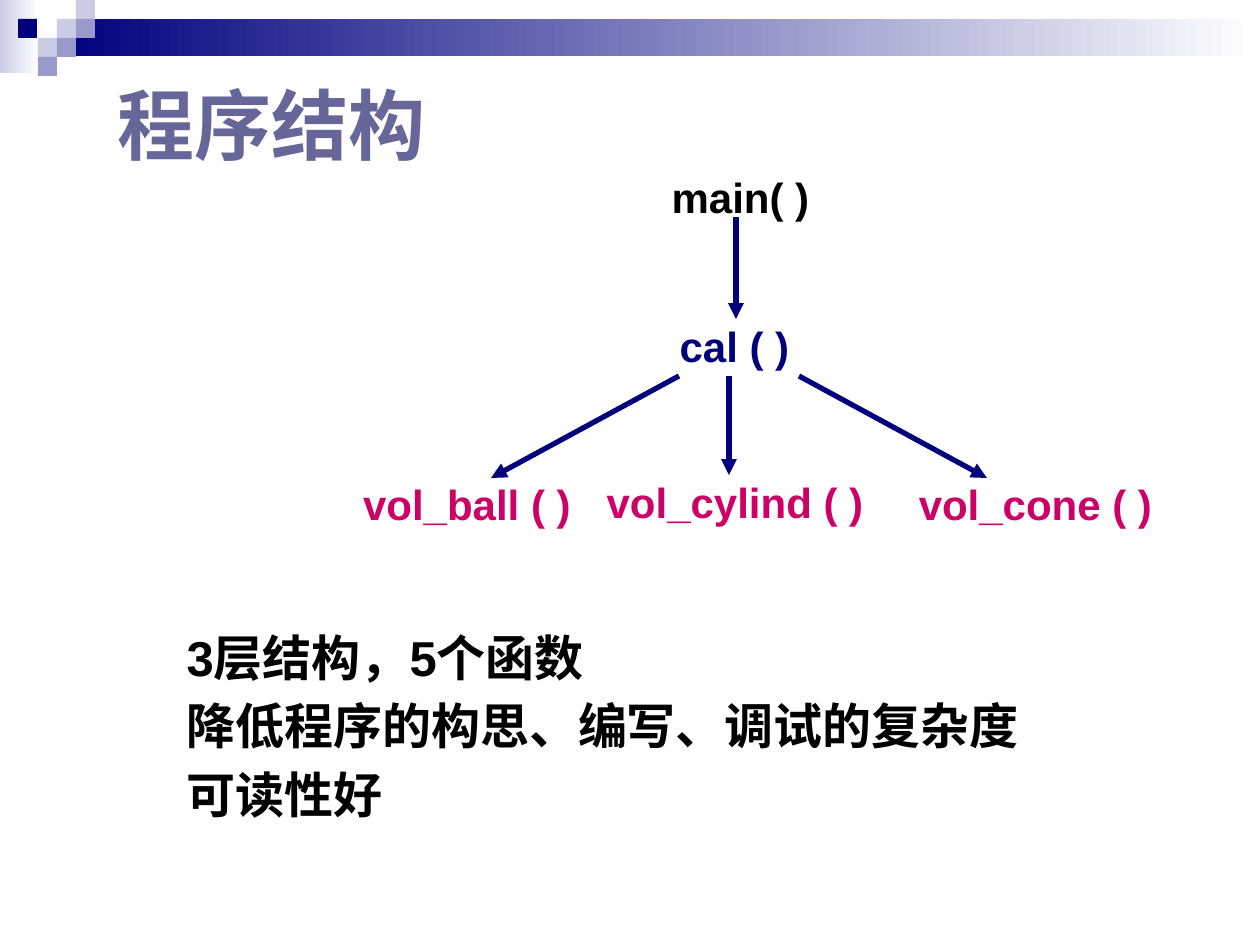
from lxml import etree
from pptx import Presentation
from pptx.dml.color import RGBColor
from pptx.enum.shapes import MSO_CONNECTOR, MSO_SHAPE
from pptx.enum.text import MSO_ANCHOR, MSO_AUTO_SIZE, PP_ALIGN
from pptx.oxml.ns import qn
from pptx.util import Pt

RECTANGLE = MSO_SHAPE.RECTANGLE
STRAIGHT = MSO_CONNECTOR.STRAIGHT
LEFT, CENTER = PP_ALIGN.LEFT, PP_ALIGN.CENTER
TOP, MIDDLE = MSO_ANCHOR.TOP, MSO_ANCHOR.MIDDLE
FIXED = MSO_AUTO_SIZE.NONE

PX = 914400 // 126
COLORS = {
    "navy": "00007D",
    "lavender": "CCCCE6",
    "violet": "9999CC",
    "slate": "666699",
    "magenta": "CC0066",
    "black": "000000",
    "white": "FFFFFF",
}


def rgb(color):
    return RGBColor.from_string(COLORS[color])


def write(holder, box, lines, size, color, align, anchor):
    holder.left, holder.top, holder.width, holder.height = [v * PX for v in box]
    frame = holder.text_frame
    frame.text = "\n".join(lines)
    frame_format = {"word_wrap": True, "auto_size": FIXED, "vertical_anchor": anchor}
    for key, value in frame_format.items():
        setattr(frame, key, value)
    font_format = {"name": "Arial", "size": Pt(size), "bold": True}
    for paragraph in frame.paragraphs:
        paragraph.alignment = align
        font = paragraph.runs[0].font
        for key, value in font_format.items():
            setattr(font, key, value)
        font.color.rgb = rgb(color)
    return frame


deck = Presentation()
deck.slide_width = 1260 * PX
deck.slide_height = 945 * PX
slide = deck.slides.add_slide(deck.slide_layouts[1])
shapes = slide.shapes

SQUARE = 19
banner = [
    ((0, 0, 39, 73), ["lavender", "white"]),
    ((57, 19, 1203, 37), ["navy", "white"]),
]
mosaic = [
    (57, 1, "lavender"),
    (76, 0, "lavender"),
    (76, 1, "violet"),
    (38, 2, "lavender"),
    (18, 1, "navy"),
    (57, 2, "violet"),
    (38, 3, "violet"),
]
for left, row, color in mosaic:
    banner.append(((left, row * SQUARE, SQUARE, SQUARE), [color]))

for box, colors in banner:
    tile = shapes.add_shape(RECTANGLE, *[v * PX for v in box])
    tile.shadow.inherit = False
    tile.line.fill.background()
    if len(colors) == 1:
        tile.fill.solid()
        tile.fill.fore_color.rgb = rgb(colors[0])
    else:
        tile.fill.gradient()
        tile.fill.gradient_angle = 0
        for stop, color in zip(tile.fill.gradient_stops, colors):
            stop.color.rgb = rgb(color)

write(shapes.title, (105, 66, 1071, 116), ["程序结构"], 44, "slate", LEFT, MIDDLE)

benefits = write(
    slide.placeholders[1],
    (174, 621, 873, 248),
    ["3层结构，5个函数", "降低程序的构思、编写、调试的复杂度", "可读性好"],
    28, "black", LEFT, TOP,
)
for paragraph in benefits.paragraphs:
    paragraph.space_before = Pt(5.6)
    properties = paragraph._p.get_or_add_pPr()
    properties.set("marL", str(48 * PX))
    properties.set("indent", str(-48 * PX))
    etree.SubElement(properties, qn("a:buNone"))

functions = [
    ("main( )", (626, 165, 229, 102), "black"),
    ("cal ( )", (620, 314, 229, 102), "navy"),
    ("vol_ball ( )", (333, 472, 268, 82), "magenta"),
    ("vol_cylind ( )", (592, 470, 286, 74), "magenta"),
    ("vol_cone ( )", (886, 472, 299, 82), "magenta"),
]
for label, box, color in functions:
    node = shapes.add_textbox(0, 0, 0, 0)
    write(node, box, [label], 24, color, CENTER, TOP)

calls = [
    (736, 217, 736, 319),
    (679, 376, 491, 478),
    (729, 376, 729, 475),
    (799, 376, 987, 478),
]
for ends in calls:
    call = shapes.add_connector(STRAIGHT, *[v * PX for v in ends])
    call.line.color.rgb = rgb("navy")
    call.line.width = Pt(3)
    etree.SubElement(call.line._get_or_add_ln(), qn("a:tailEnd"), type="triangle")
    etree.SubElement(call._element.spPr, qn("a:effectLst"))

deck.save("out.pptx")
